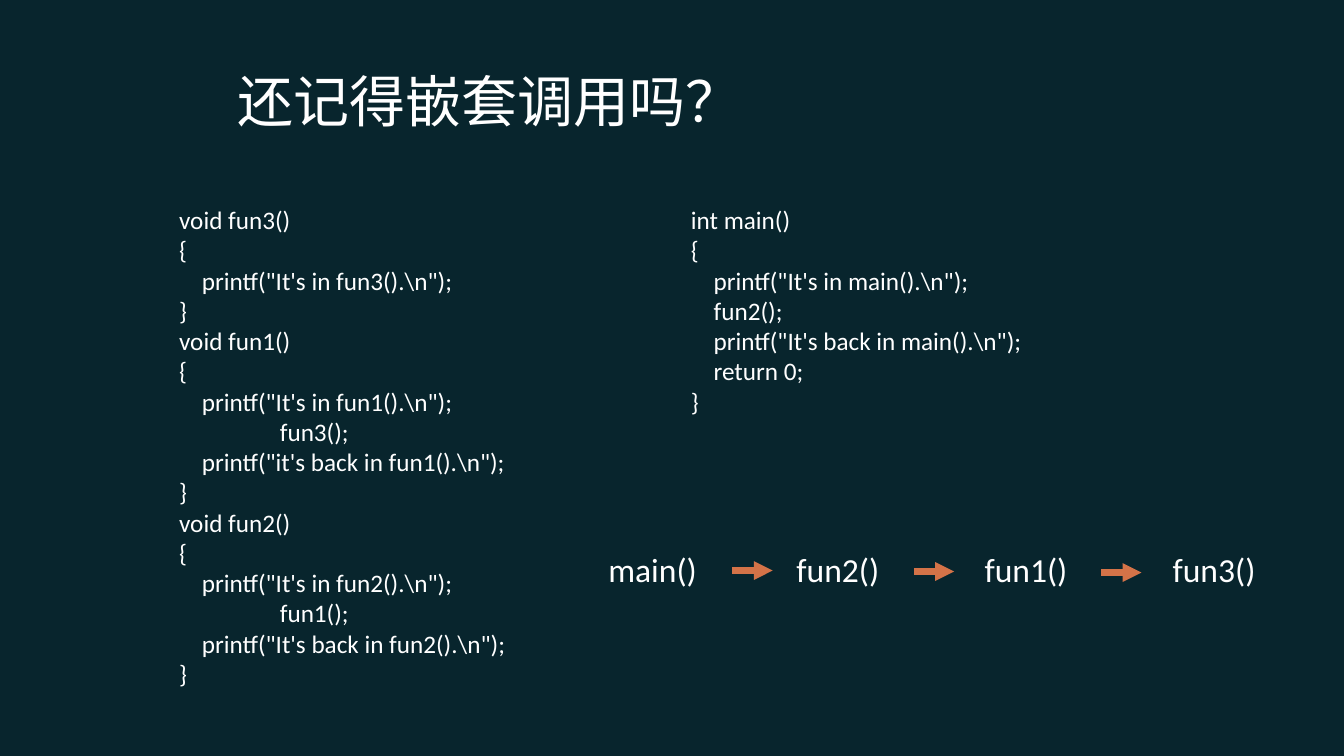
import pptx
import pptx.util
import pptx.dml.color
import pptx.enum.shapes
import pptx.enum.text
import pptx.oxml
import pptx.oxml.ns
from pptx.util import Inches

RGB = pptx.dml.color.RGBColor.from_string
THEME = {
    "back": RGB("08252D"), "text": RGB("FFFFFF"), "arrow": RGB("D47348"),
    "title_font": "Roboto", "body_font": "Calibri",
    "title": 40, "code": 18, "call": 24, "arrow_width": 4.5,
}
NS = pptx.oxml.ns.nsdecls("a")


def style(tf, font, size):
    for p in tf.paragraphs:
        p.alignment = pptx.enum.text.PP_ALIGN.LEFT
        for r in p.runs:
            r.font.name = font
            r.font.size = pptx.util.Pt(size)
            r.font.color.rgb = THEME["text"]


def add_text(s, text, x, y, w, h, size):
    tf = s.shapes.add_textbox(Inches(x), Inches(y), Inches(w), Inches(h)).text_frame
    tf.word_wrap = True
    tf.text = text
    for p in tf.paragraphs:
        if "\t" in p.text:
            tabs = f'<a:tabLst {NS}><a:tab pos="{Inches(1)}" algn="l"/></a:tabLst>'
            p._p.get_or_add_pPr().append(pptx.oxml.parse_xml(tabs))
    style(tf, THEME["body_font"], size)


prs = pptx.Presentation()
prs.slide_width, prs.slide_height = Inches(13.34), Inches(7.5)
s = prs.slides.add_slide(prs.slide_layouts[5])
s.background.fill.solid()
s.background.fill.fore_color.rgb = THEME["back"]

# Title
title = s.shapes.title
title.left, title.top = Inches(2.26), Inches(0.6)
title.width, title.height = Inches(7.95), Inches(0.79)
tf = title.text_frame
tf.text = "还记得嵌套调用吗？"
tf.vertical_anchor = pptx.enum.text.MSO_ANCHOR.MIDDLE
style(tf, THEME["title_font"], THEME["title"])

# Code listings
functions = """void fun3()
{
    printf("It's in fun3().\\n");
}
void fun1()
{
    printf("It's in fun1().\\n");
\tfun3();
    printf("it's back in fun1().\\n");
}
void fun2()
{
    printf("It's in fun2().\\n");
\tfun1();
    printf("It's back in fun2().\\n");
}"""
main_code = """int main()
{
    printf("It's in main().\\n");
    fun2();
    printf("It's back in main().\\n");
    return 0;
}"""
add_text(s, functions, 1.68, 1.98, 4.07, 4.9, THEME["code"])
add_text(s, main_code, 6.76, 1.98, 4.18, 2.2, THEME["code"])

# Call chain
for i, call in enumerate(["main()", "fun2()", "fun1()", "fun3()"]):
    add_text(s, call, 5.94 + 1.867 * i, 5.4, 1.46, 0.5, THEME["call"])

# Arrows between calls
for x, y in [(7.27, 5.66), (9.07, 5.67), (10.93, 5.68)]:
    arrow = s.shapes.add_connector(
        pptx.enum.shapes.MSO_CONNECTOR.STRAIGHT,
        Inches(x), Inches(y), Inches(x + 0.4), Inches(y))
    arrow.line.color.rgb = THEME["arrow"]
    arrow.line.width = pptx.util.Pt(THEME["arrow_width"])
    arrow.line._get_or_add_ln().append(
        pptx.oxml.parse_xml(f'<a:tailEnd {NS} type="triangle"/>'))
    arrow._element.spPr.append(pptx.oxml.parse_xml(f"<a:effectLst {NS}/>"))

prs.save("out.pptx")
